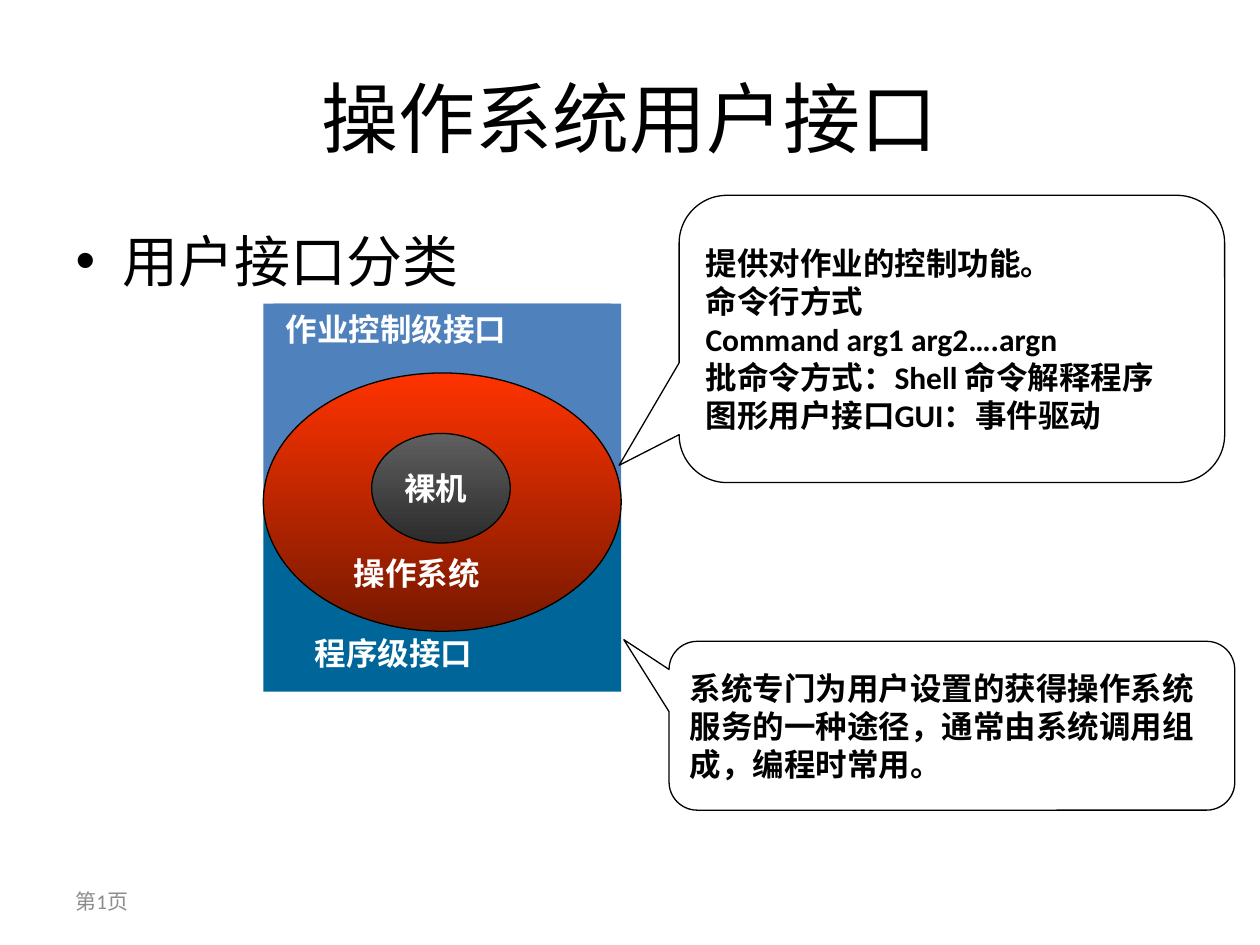
from pptx import Presentation
from pptx.dml.color import RGBColor
from pptx.enum.shapes import MSO_SHAPE
from pptx.enum.text import MSO_ANCHOR, PP_ALIGN
from pptx.util import Inches, Pt

FONT = "Calibri"
BLACK = RGBColor(0x00, 0x00, 0x00)
WHITE = RGBColor(0xFF, 0xFF, 0xFF)
GRAY = RGBColor(0x8C, 0x8C, 0x8C)
TEAL = RGBColor(0x00, 0x66, 0x99)
BLUE = RGBColor(0x4F, 0x81, 0xBD)
RED = RGBColor(0xFF, 0x33, 0x00)
DARK_RED = RGBColor(0x76, 0x18, 0x00)
STEEL = RGBColor(0x5F, 0x5F, 0x5F)
DARK_STEEL = RGBColor(0x2C, 0x2C, 0x2C)


def write(shape, lines, size=18, color=WHITE, bold=True,
          align=PP_ALIGN.LEFT, anchor=MSO_ANCHOR.TOP, wrap=True):
    frame = shape.text_frame
    frame.text = "\n".join(lines)
    frame.word_wrap = wrap
    frame.vertical_anchor = anchor
    for paragraph in frame.paragraphs:
        paragraph.alignment = align
        paragraph.font.name = FONT
        paragraph.font.size = Pt(size)
        paragraph.font.bold = bold
        paragraph.font.color.rgb = color


def place(shape, box):
    shape.left, shape.top, shape.width, shape.height = map(Inches, box)


def add_shape(slide, kind, box):
    shape = slide.shapes.add_shape(kind, *map(Inches, box))
    shape.shadow.inherit = False
    return shape


def outline(shape):
    shape.line.color.rgb = BLACK
    shape.line.width = Pt(0.75)


def add_label(slide, box, text, **style):
    write(slide.shapes.add_textbox(*map(Inches, box)), [text], **style)


def add_panel(slide, box, color):
    panel = add_shape(slide, MSO_SHAPE.RECTANGLE, box)
    panel.fill.solid()
    panel.fill.fore_color.rgb = color
    panel.line.fill.background()
    return panel


def add_ellipse(slide, box, top_color, bottom_color):
    ellipse = add_shape(slide, MSO_SHAPE.OVAL, box)
    ellipse.fill.gradient()
    ellipse.fill.gradient_angle = 270
    for stop, color in zip(ellipse.fill.gradient_stops, (top_color, bottom_color)):
        stop.color.rgb = color
    outline(ellipse)
    return ellipse


def add_callout(slide, box, tip, lines):
    callout = add_shape(slide, MSO_SHAPE.ROUNDED_RECTANGULAR_CALLOUT, box)
    callout.adjustments[0], callout.adjustments[1] = tip
    callout.fill.background()
    outline(callout)
    write(callout, lines, color=BLACK, anchor=MSO_ANCHOR.MIDDLE)


def main():
    presentation = Presentation()
    presentation.slide_width, presentation.slide_height = Inches(10), Inches(7.5)
    slide = presentation.slides.add_slide(presentation.slide_layouts[1])

    # Title and list
    title, body = slide.placeholders
    place(title, (0.5, 0.3, 9, 1.25))
    write(title, ["操作系统用户接口"], size=44, color=BLACK, bold=False,
          align=PP_ALIGN.CENTER, anchor=MSO_ANCHOR.MIDDLE)
    place(body, (0.5, 1.75, 9, 4.95))
    write(body, ["用户接口分类"], size=32, color=BLACK, bold=False)

    # Interface levels behind the system
    add_panel(slide, (2.09, 4.07, 2.84, 1.42), TEAL)
    write(add_panel(slide, (2.4, 4.98, 2.28, 0.5), TEAL), ["程序级接口"])
    add_panel(slide, (2.09, 2.41, 2.84, 1.57), BLUE)
    write(add_panel(slide, (2.17, 2.41, 2.68, 0.5), BLUE), ["作业控制级接口"])

    # Operating system around the bare machine
    add_ellipse(slide, (2.09, 2.96, 2.84, 2.05), RED, DARK_RED)
    add_label(slide, (2.71, 4.35, 1.54, 0.5), "操作系统", wrap=False)
    machine = add_ellipse(slide, (2.95, 3.44, 1.1, 0.87), STEEL, DARK_STEEL)
    write(machine, ["裸机"], anchor=MSO_ANCHOR.MIDDLE, wrap=False)

    # Explanations
    add_callout(slide, (5.39, 1.55, 4.33, 2.28), (-0.61, 0.44), [
        "提供对作业的控制功能。",
        "命令行方式",
        "Command arg1 arg2….argn",
        "批命令方式：Shell 命令解释程序",
        "图形用户接口GUI：事件驱动",
    ])
    add_callout(slide, (5.31, 5.09, 4.49, 1.34), (-0.58, -0.51), [
        "系统专门为用户设置的获得操作系统服务的一种途径，通常由系统调用组成，编程时常用。",
    ])

    # Page number
    add_label(slide, (0.5, 6.95, 2.33, 0.4), "第1页", size=12, color=GRAY,
              bold=False, anchor=MSO_ANCHOR.MIDDLE)

    presentation.save("out.pptx")


if __name__ == "__main__":
    main()
